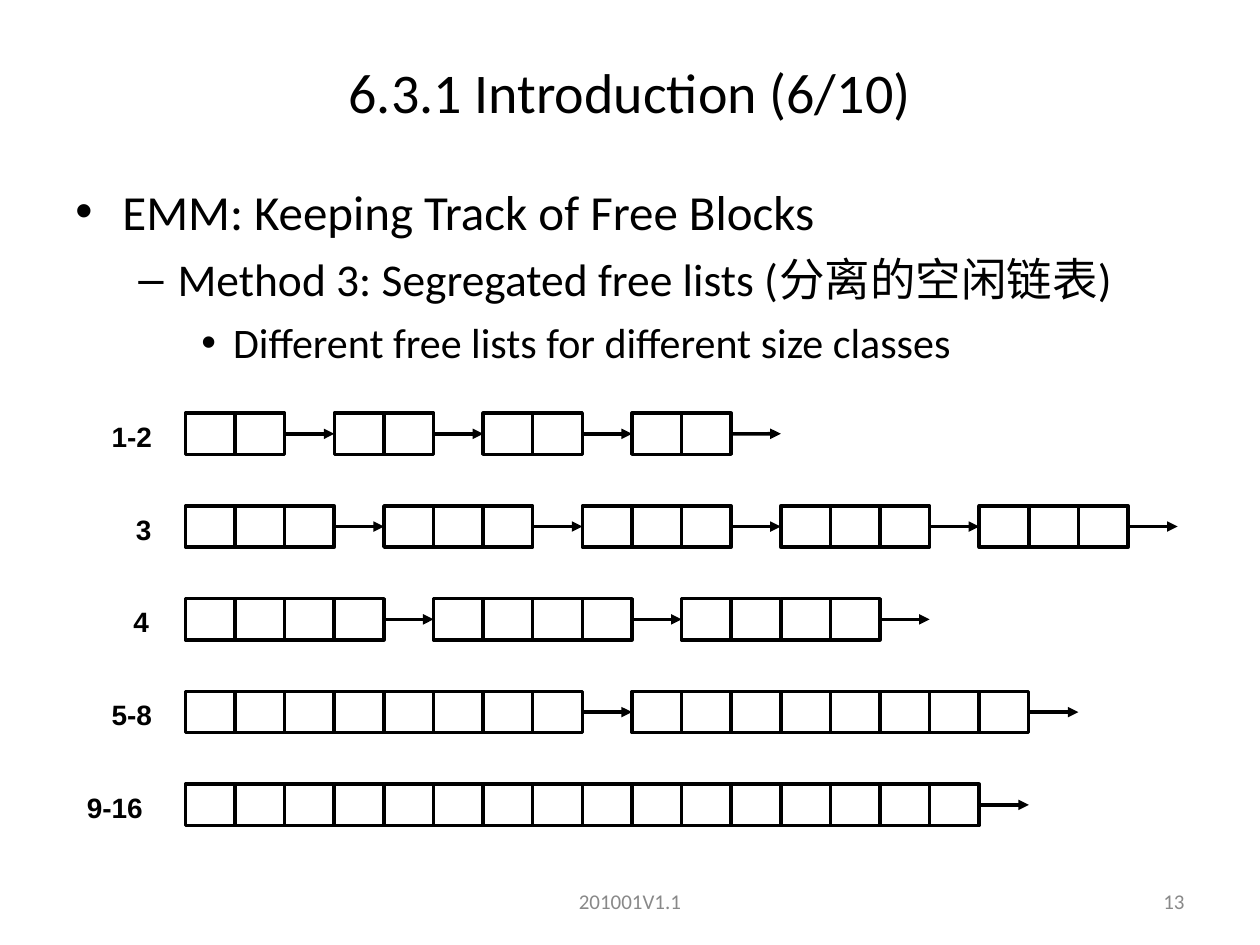
from pptx import Presentation
from pptx import util as u
from pptx.dml.color import RGBColor
from pptx.enum import shapes, text
from pptx.oxml.ns import qn
from lxml import etree


def rgb(value):
    return RGBColor.from_string(value)


class Slide:
    """Style of the slide and the elements it is made of."""
    ink, paper, grey = "000000", "FFFFFF", "898989"
    body_font, label_font = "Calibri", "Arial"
    line_width = u.Pt(2)

    def __init__(self, prs):
        self.s = prs.slides.add_slide(prs.slide_layouts[6])

    def box(self, x, y, w, h, anchor=text.MSO_ANCHOR.TOP, wrap=True):
        sp = self.s.shapes.add_textbox(u.Cm(x), u.Cm(y), u.Cm(w), u.Cm(h))
        tf = sp.text_frame
        tf.word_wrap = wrap
        tf.vertical_anchor = anchor
        return tf

    def run(self, p, words, size, color=None, font=None, bold=False):
        r = p.add_run()
        r.text = words
        r.font.size = u.Pt(size)
        r.font.name = font or self.body_font
        r.font.bold = bold
        r.font.color.rgb = rgb(color or self.ink)

    def line_of_text(self, x, y, w, h, words, size, align, color=None):
        p = self.box(x, y, w, h, text.MSO_ANCHOR.MIDDLE).paragraphs[0]
        p.alignment = align
        self.run(p, words, size, color)

    def label(self, x, y, w, words):
        tf = self.box(x, y, w, 0.94, wrap=False)
        self.run(tf.paragraphs[0], words, 16, font=self.label_font, bold=True)

    def bullets(self, x, y, w, h, items):
        tf = self.box(x, y, w, h)
        for level, (words, size, mark, margin, hang) in enumerate(items):
            p = tf.add_paragraph() if level else tf.paragraphs[0]
            p.level = level
            p.space_before = u.Pt(size / 4)
            pPr = p._p.get_or_add_pPr()
            pPr.set("marL", str(u.Cm(margin)))
            pPr.set("indent", str(-u.Cm(hang)))
            etree.SubElement(pPr, qn("a:buFont")).set("typeface", self.label_font)
            etree.SubElement(pPr, qn("a:buChar")).set("char", mark)
            self.run(p, words, size)

    def cell(self, x, y, w, h):
        sp = self.s.shapes.add_shape(
            shapes.MSO_SHAPE.RECTANGLE, u.Cm(x), u.Cm(y), u.Cm(w), u.Cm(h))
        sp.shadow.inherit = False
        sp.fill.solid()
        sp.fill.fore_color.rgb = rgb(self.paper)
        sp.line.color.rgb = rgb(self.ink)
        sp.line.width = self.line_width
        return sp

    def arrow(self, x, y, length, start, end=None):
        c = self.s.shapes.add_connector(
            shapes.MSO_CONNECTOR.STRAIGHT,
            u.Cm(x), u.Cm(y), u.Cm(x + length), u.Cm(y))
        c.begin_connect(start, 3)
        if end is not None:
            c.end_connect(end, 1)
        c.line.color.rgb = rgb(self.ink)
        c.line.width = self.line_width
        etree.SubElement(c.line._get_or_add_ln(), qn("a:tailEnd")).set("type", "triangle")
        etree.SubElement(c._element.spPr, qn("a:effectLst"))

    def free_list(self, x, y, w, h, blocks, size):
        """Blocks of `size` cells, each followed by an arrow one cell long."""
        step = (size + 1) * w
        chain = [[self.cell(x + b * step + i * w, y, w, h) for i in range(size)]
                 for b in range(blocks)]
        for b, block in enumerate(chain):
            following = chain[b + 1][0] if b + 1 < blocks else None
            self.arrow(x + b * step + size * w, y + h / 2, w, block[-1], following)


def main():
    prs = Presentation()
    prs.slide_width, prs.slide_height = u.Cm(25.4), u.Cm(19.05)
    s = Slide(prs)
    align = text.PP_ALIGN

    # Footer and page number
    s.line_of_text(8.68, 17.66, 8.04, 1.01, "201001V1.1", 12, align.CENTER, s.grey)
    s.line_of_text(18.2, 17.66, 5.93, 1.01, "13", 12, align.RIGHT, s.grey)

    # Title and bullets
    s.line_of_text(0, 0.76, 25.4, 2.16, "6.3.1 Introduction (6/10)", 32, align.CENTER)
    s.bullets(1.27, 3.53, 22.86, 13.49, [
        ("EMM: Keeping Track of Free Blocks", 28, "•", 0.95, 0.95),
        ("Method 3: Segregated free lists (分离的空闲链表)", 26, "–", 2.06, 0.79),
        ("Different free lists for different size classes", 24, "•", 3.18, 0.64),
    ])

    # Free lists: label, label left, label width, blocks, cells per block
    left, top, pitch, cell_w, cell_h = 3.74, 8.33, 1.87, 1, 0.83
    rows = [
        ("1-2", 2, 1.32, 4, 2),
        ("3", 2.49, 0.81, 5, 3),
        ("4", 2.44, 0.81, 3, 4),
        ("5-8", 2, 1.32, 2, 8),
        ("9-16", 1.5, 1.63, 1, 16),
    ]
    for i, (name, label_x, label_w, blocks, size) in enumerate(rows):
        y = top + i * pitch
        s.label(label_x, y, label_w, name)
        s.free_list(left, y, cell_w, cell_h, blocks, size)

    prs.save("out.pptx")


if __name__ == "__main__":
    main()
